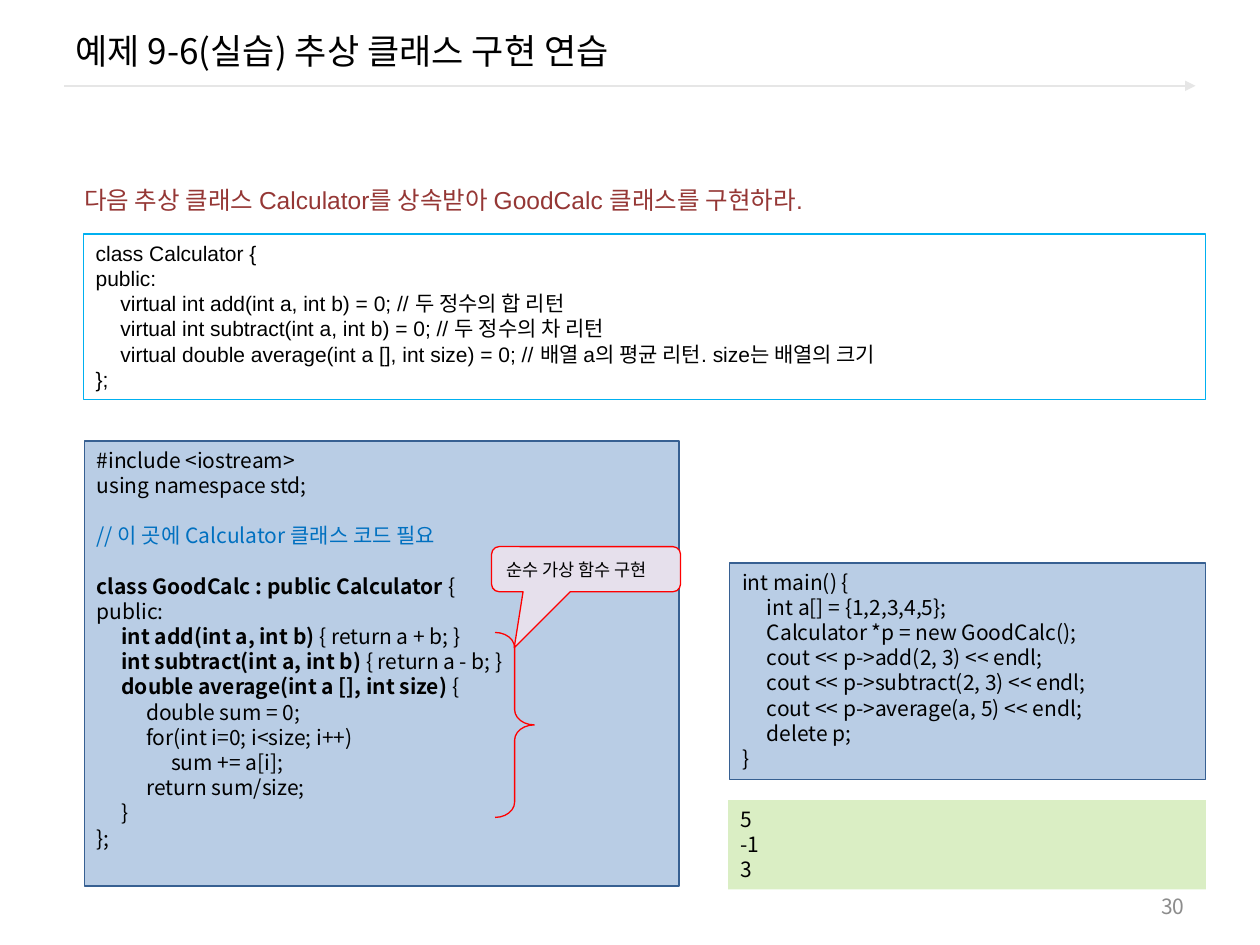
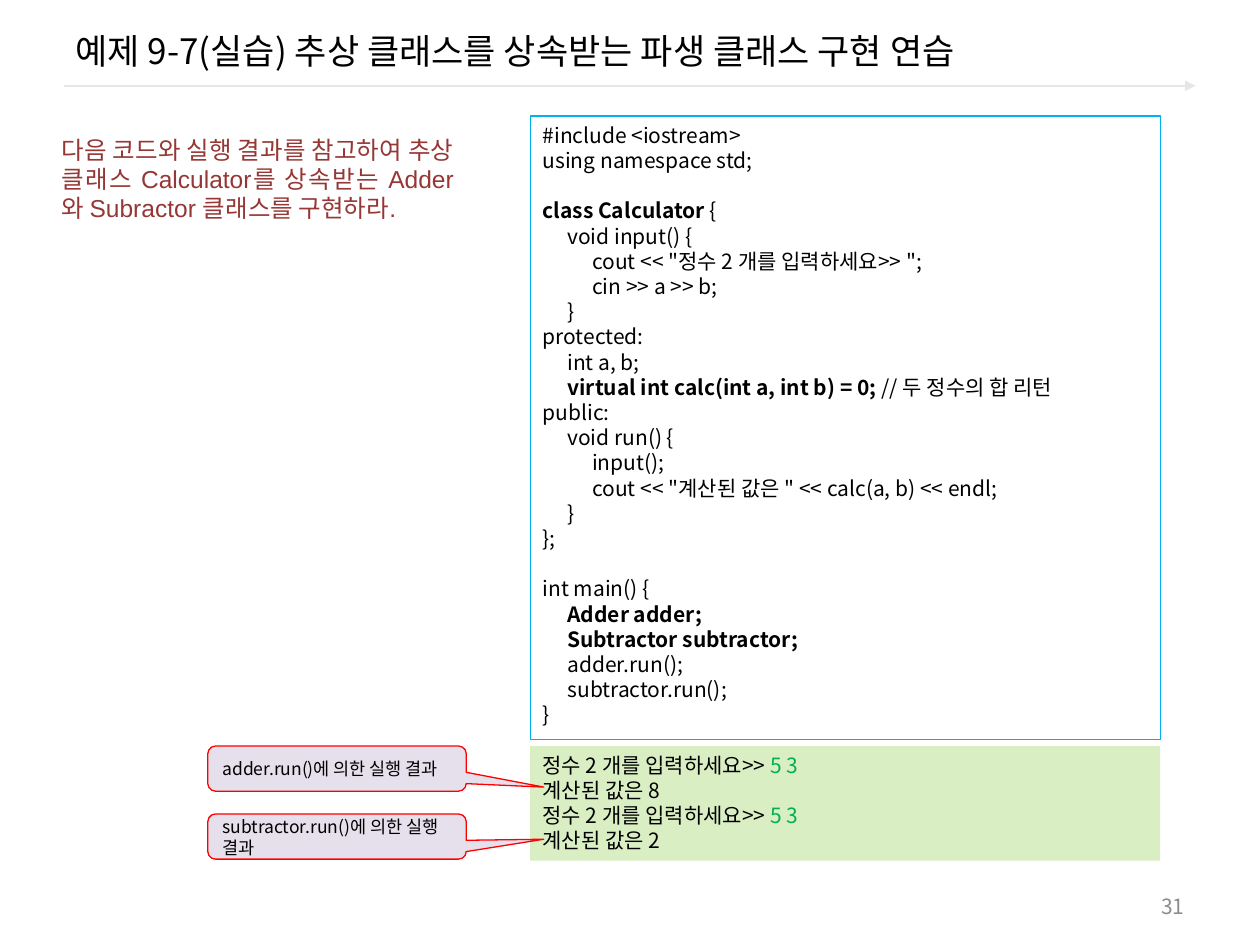
from lxml import etree
from pptx import Presentation
from pptx.dml.color import RGBColor
from pptx.enum.shapes import MSO_CONNECTOR, MSO_SHAPE
from pptx.enum.text import MSO_ANCHOR, PP_ALIGN
from pptx.oxml.ns import qn
from pptx.util import Cm, Pt

RECT = MSO_SHAPE.RECTANGLE
CALLOUT = MSO_SHAPE.ROUNDED_RECTANGULAR_CALLOUT
BRACE = MSO_SHAPE.RIGHT_BRACE
STRAIGHT = MSO_CONNECTOR.STRAIGHT
TOP, MIDDLE = MSO_ANCHOR.TOP, MSO_ANCHOR.MIDDLE
LEFT, RIGHT, JUSTIFY = PP_ALIGN.LEFT, PP_ALIGN.RIGHT, PP_ALIGN.JUSTIFY

BLACK = RGBColor(0x00, 0x00, 0x00)
GRAY = RGBColor(0x8C, 0x8C, 0x8C)
SILVER = RGBColor(0xE6, 0xE6, 0xE6)
MAROON = RGBColor(0x95, 0x37, 0x35)
STEEL = RGBColor(0xB9, 0xCD, 0xE5)
NAVY = RGBColor(0x37, 0x60, 0x92)
SKY = RGBColor(0x00, 0xB0, 0xF0)
BLUE = RGBColor(0x00, 0x70, 0xC0)
LIME = RGBColor(0xDA, 0xEE, 0xC4)
GREEN = RGBColor(0x00, 0xB0, 0x50)
LILAC = RGBColor(0xE6, 0xE0, 0xEC)
RED = RGBColor(0xFF, 0x00, 0x00)

NOTO, ARIAL = "Noto Sans CJK KR", "Arial"
BOLD = "bold"
TAB = 0.5
LEADING = 1.2


def add_tabs(para):
    """Put tab stops at equal steps for code indents."""
    stops = etree.SubElement(para._p.get_or_add_pPr(), qn("a:tabLst"))
    for step in range(1, 4):
        etree.SubElement(stops, qn("a:tab"), pos=str(Cm(TAB * step)), algn="l")


def set_font(para, size, color, face):
    font = para.font
    font.size, font.name = Pt(size), face
    font.color.rgb = color
    props = para._p.pPr.find(qn("a:defRPr"))
    etree.SubElement(props, qn("a:ea"), typeface=NOTO)


def add_run(para, part):
    """Add plain text, or a (text, style) pair with BOLD or a colour."""
    text, style = (part, None) if isinstance(part, str) else part
    run = para.add_run()
    run.text = text
    if style == BOLD:
        run.font.bold = True
    elif style is not None:
        run.font.color.rgb = style


def write(shape, lines, size=12, color=BLACK, face=NOTO, align=LEFT,
          anchor=TOP, tabs=False):
    """Fill a shape; an empty line becomes space before the next one."""
    frame = shape.text_frame
    frame.word_wrap, frame.vertical_anchor = True, anchor
    para, gap = frame.paragraphs[0], 0
    for i, line in enumerate(lines):
        if not line:
            gap += size * LEADING
            continue
        if i:
            para = frame.add_paragraph()
        if tabs:
            add_tabs(para)
        para.alignment = align
        para.line_spacing = Pt(size * LEADING)
        if gap:
            para.space_before, gap = Pt(gap), 0
        set_font(para, size, color, face)
        for part in [line] if isinstance(line, str) else line:
            add_run(para, part)


def add_label(slide, box, text, **style):
    write(slide.shapes.add_textbox(*map(Cm, box)), [text], **style)


def add_form(slide, kind, box, fill=None, line=None, adjust=()):
    shape = slide.shapes.add_shape(kind, *map(Cm, box))
    shape.shadow.inherit = False
    if fill is None:
        shape.fill.background()
    else:
        shape.fill.solid()
        shape.fill.fore_color.rgb = fill
    if line is None:
        shape.line.fill.background()
    else:
        shape.line.color.rgb = line
        shape.line.width = Pt(0.75)
    for i, value in enumerate(adjust):
        shape.adjustments[i] = value
    return shape


def add_code(slide, box, lines, fill=None, line=None, face=NOTO):
    write(add_form(slide, RECT, box, fill, line), lines, face=face, tabs=True)


def add_note(slide, box, text, tip):
    """Add a callout whose tip is given as shares of its size."""
    shape = add_form(slide, CALLOUT, box, LILAC, RED, (*tip, 0.17))
    write(shape, [text], size=10, anchor=MIDDLE)


def add_rule(slide):
    rule = slide.shapes.add_connector(STRAIGHT, Cm(1.3), Cm(1.73),
                                      Cm(24.1), Cm(1.73))
    rule.line.color.rgb = SILVER
    rule.line.width = Pt(1.5)
    etree.SubElement(rule.line._get_or_add_ln(), qn("a:tailEnd"),
                     type="triangle")
    etree.SubElement(rule._element.spPr, qn("a:effectLst"))


def add_page(deck, title, number):
    slide = deck.slides.add_slide(deck.slide_layouts[6])
    add_rule(slide)
    add_label(slide, (1.27, 0.2, 22.86, 1.63), title, size=20, anchor=MIDDLE)
    add_label(slide, (18.21, 17.86, 5.92, 0.81), str(number), color=GRAY,
              align=RIGHT, anchor=MIDDLE)
    return slide


def add_task(slide, box, text, align=LEFT):
    add_label(slide, box, text, size=14, color=MAROON, face=ARIAL, align=align)


def build_calc(deck):
    slide = add_page(deck, "예제 9-6(실습) 추상 클래스 구현 연습", 30)
    add_code(slide, (1.7, 8.89, 11.99, 8.97), [
        "#include <iostream>",
        "using namespace std;",
        "",
        [("// 이 곳에 Calculator 클래스 코드 필요", BLUE)],
        "",
        [("class GoodCalc : public Calculator ", BOLD), "{"],
        "public:",
        ["\t", ("int add(int a, int b) ", BOLD), "{ return a + b; }"],
        ["\t", ("int subtract(int a, int b) ", BOLD), "{ return a - b; }"],
        ["\t", ("double average(int a [], int size) ", BOLD), "{"],
        "\t\tdouble sum = 0;",
        "\t\tfor(int i=0; i<size; i++)",
        "\t\t\tsum += a[i];",
        "\t\treturn sum/size;",
        "\t}",
        "};",
    ], STEEL, NAVY)
    add_note(slide, (9.91, 11.02, 3.81, 0.91), "순수 가상 함수 구현",
             (-0.38, 1.74))
    add_form(slide, BRACE, (9.98, 12.75, 0.79, 3.73), line=RED,
             adjust=(0.39, 0.5))
    add_code(slide, (14.71, 11.35, 9.6, 4.37), [
        "int main() {",
        "\tint a[] = {1,2,3,4,5};",
        "\tCalculator *p = new GoodCalc();",
        "\tcout << p->add(2, 3) << endl;",
        "\tcout << p->subtract(2, 3) << endl;",
        "\tcout << p->average(a, 5) << endl;",
        "\tdelete p;",
        "}",
    ], STEEL, NAVY)
    add_code(slide, (14.68, 16.13, 9.63, 1.8), ["5", "-1", "3"], LIME)
    add_code(slide, (1.68, 4.72, 22.63, 3.33), [
        "class Calculator {",
        "public:",
        "\tvirtual int add(int a, int b) = 0; // 두 정수의 합 리턴",
        "\tvirtual int subtract(int a, int b) = 0; // 두 정수의 차 리턴",
        "\tvirtual double average(int a [], int size) = 0; "
        "// 배열 a의 평균 리턴. size는 배열의 크기",
        "};",
    ], line=SKY, face=ARIAL)
    add_task(slide, (1.45, 3.61, 16.26, 0.86),
             "다음 추상 클래스 Calculator를 상속받아 GoodCalc 클래스를 구현하라.")


def build_adder(deck):
    slide = add_page(
        deck, "예제 9-7(실습) 추상 클래스를 상속받는 파생 클래스 구현 연습", 31)
    add_code(slide, (10.69, 2.34, 12.7, 12.57), [
        "#include <iostream>",
        "using namespace std;",
        "",
        [("class Calculator ", BOLD), "{"],
        "\tvoid input() {",
        '\t\tcout << "정수 2 개를 입력하세요>> ";',
        "\t\tcin >> a >> b;",
        "\t}",
        "protected:",
        "\tint a, b;",
        ["\t", ("virtual int calc(int a, int b) = 0; ", BOLD),
         "// 두 정수의 합 리턴"],
        "public:",
        "\tvoid run() {",
        "\t\tinput();",
        '\t\tcout << "계산된 값은 " << calc(a, b) << endl;',
        "\t}",
        "};",
        "",
        "int main() {",
        [("\tAdder adder;", BOLD)],
        [("\tSubtractor subtractor;", BOLD)],
        "\tadder.run();",
        "\tsubtractor.run();",
        "}",
    ], line=SKY)
    prompt = ["정수 2 개를 입력하세요>> ", ("5 3", GREEN)]
    add_code(slide, (10.69, 15.04, 12.7, 2.31),
             [prompt, "계산된 값은 8", prompt, "계산된 값은 2"], LIME)
    add_task(slide, (0.99, 2.59, 8.41, 2.64),
             "다음 코드와 실행 결과를 참고하여 추상 클래스 Calculator를 "
             "상속받는 Adder와 Subractor 클래스를 구현하라.", JUSTIFY)
    for name, top, tip in (("adder", 15.04, 0.41), ("subtractor", 16.41, 0.06)):
        add_note(slide, (4.19, top, 5.21, 0.91),
                 f"{name}.run()에 의한 실행 결과", (0.8, tip))


def main():
    deck = Presentation()
    deck.slide_width, deck.slide_height = Cm(25.4), Cm(19.05)
    build_calc(deck)
    build_adder(deck)
    deck.save("out.pptx")


if __name__ == "__main__":
    main()
